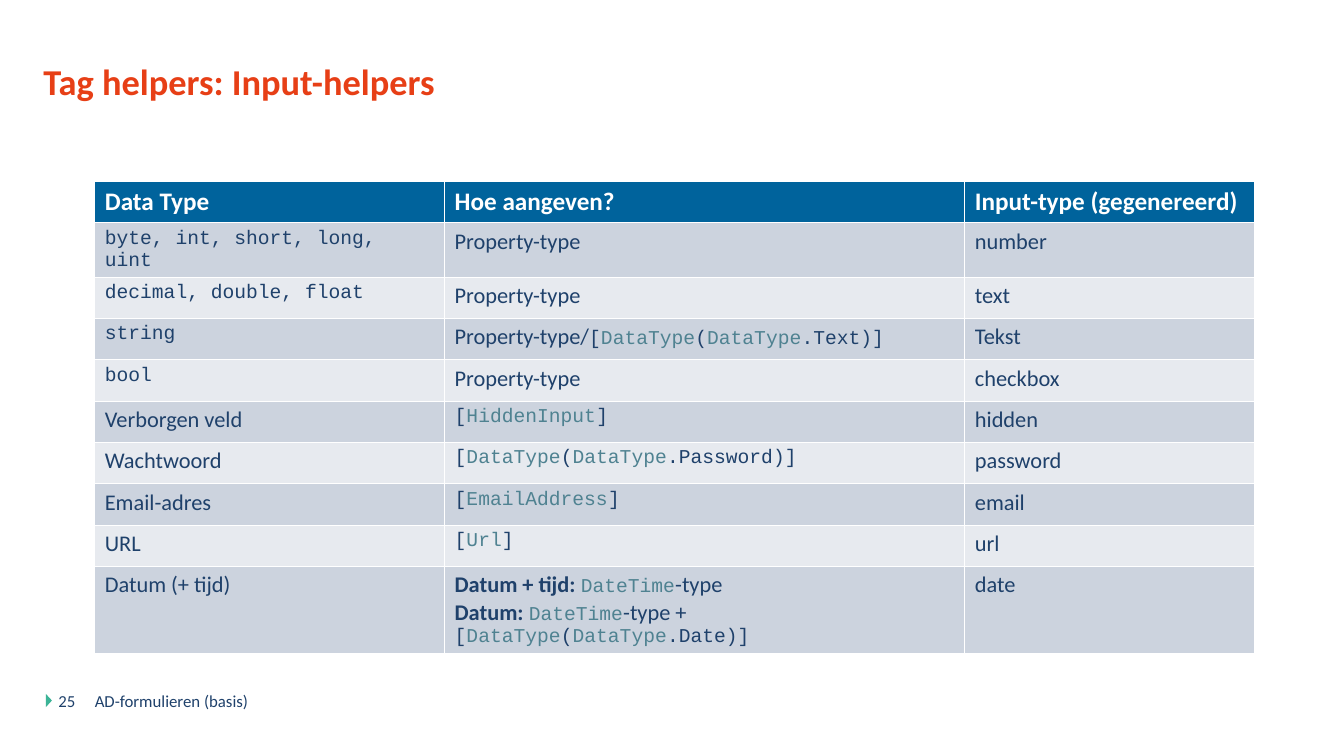
import collections

import pptx
import pptx.dml.color
import pptx.enum.shapes
import pptx.enum.text
import pptx.util

Inches = pptx.util.Inches
RGBColor = pptx.dml.color.RGBColor

ORANGE = RGBColor(0xE7, 0x3F, 0x16)
NAVY = RGBColor(0x1F, 0x41, 0x6B)
TEAL = RGBColor(0x4F, 0x82, 0x91)
GREEN = RGBColor(0x3C, 0xB4, 0x97)
BLUE = RGBColor(0x00, 0x63, 0x9C)
WHITE = RGBColor(0xFF, 0xFF, 0xFF)
BANDS = [RGBColor(0xCC, 0xD3, 0xDE), RGBColor(0xE7, 0xEA, 0xEF)]

Style = collections.namedtuple("Style", "name size color bold")
TITLE = Style("Calibri", 26, ORANGE, True)
FOOTER = Style("Calibri", 12, NAVY, False)
HEADER = Style("Calibri", 18, WHITE, True)
BODY = Style("Calibri", 16, NAVY, False)
STRONG = BODY._replace(bold=True)
CODE = Style("Courier New", 14, NAVY, False)
TYPE = CODE._replace(color=TEAL)


class SlideBuilder:
    def __init__(self, presentation):
        layout = presentation.slide_layouts.get_by_name("Title Only")
        self.slide = presentation.slides.add_slide(layout)

    def set_font(self, font, style):
        font.name = style.name
        font.size = pptx.util.Pt(style.size)
        font.bold = style.bold
        font.color.rgb = style.color

    def add_lines(self, frame, lines):
        for index, spans in enumerate(lines):
            paragraph = frame.add_paragraph() if index else frame.paragraphs[0]
            paragraph.alignment = pptx.enum.text.PP_ALIGN.LEFT
            for text, style in spans:
                run = paragraph.add_run()
                run.text = text
                if len(spans) > 1:
                    self.set_font(run.font, style)
            if len(spans) == 1:
                self.set_font(paragraph.font, spans[0][1])

    def fill_frame(self, frame, text, style):
        frame.word_wrap = True
        frame.auto_size = pptx.enum.text.MSO_AUTO_SIZE.NONE
        frame.vertical_anchor = pptx.enum.text.MSO_ANCHOR.TOP
        frame.margin_left = frame.margin_right = 0
        frame.margin_top = frame.margin_bottom = 0
        self.add_lines(frame, [[(text, style)]])

    def title(self, text, left, top, width, height):
        shape = self.slide.shapes.title
        shape.left, shape.top = Inches(left), Inches(top)
        shape.width, shape.height = Inches(width), Inches(height)
        self.fill_frame(shape.text_frame, text, TITLE)
        shape.text_frame.paragraphs[0].line_spacing = 0.8

    def text(self, text, left, top, width, height):
        shape = self.slide.shapes.add_textbox(
            Inches(left), Inches(top), Inches(width), Inches(height))
        self.fill_frame(shape.text_frame, text, FOOTER)

    def marker(self, left, top, width, height):
        shape = self.slide.shapes.add_shape(
            pptx.enum.shapes.MSO_SHAPE.ISOSCELES_TRIANGLE,
            Inches(left), Inches(top), Inches(width), Inches(height))
        shape.rotation = 90
        shape.shadow.inherit = False
        shape.fill.solid()
        shape.fill.fore_color.rgb = GREEN
        shape.line.fill.background()

    def table(self, rows, left, top, column_widths, row_height):
        table = self.slide.shapes.add_table(
            len(rows), len(column_widths), Inches(left), Inches(top),
            Inches(sum(column_widths)), Inches(row_height * len(rows))).table
        for column, width in zip(table.columns, column_widths):
            column.width = Inches(width)
        for row_index, row in enumerate(rows):
            color = BANDS[(row_index - 1) % 2] if row_index else BLUE
            for column_index, lines in enumerate(row):
                cell = table.cell(row_index, column_index)
                cell.fill.solid()
                cell.fill.fore_color.rgb = color
                self.add_lines(cell.text_frame, lines)


def line(text, style=BODY):
    return [[(text, style)]]


def attribute(name):
    return [("[", CODE), (name, TYPE), ("]", CODE)]


def data_type(member):
    return [("[", CODE), ("DataType", TYPE), ("(", CODE),
            ("DataType", TYPE), (f".{member})]", CODE)]


def date_time(label, ending):
    return [(label, STRONG), ("DateTime", TYPE), (ending, BODY)]


PROPERTY = line("Property-type")
ROWS = [
    [line(text, HEADER) for text in
     ("Data Type", "Hoe aangeven?", "Input-type (gegenereerd)")],
    [line("byte, int, short, long, uint", CODE), PROPERTY, line("number")],
    [line("decimal, double, float", CODE), PROPERTY, line("text")],
    [line("string", CODE),
     [[("Property-type/", BODY)] + data_type("Text")], line("Tekst")],
    [line("bool", CODE), PROPERTY, line("checkbox")],
    [line("Verborgen veld"), [attribute("HiddenInput")], line("hidden")],
    [line("Wachtwoord"), [data_type("Password")], line("password")],
    [line("Email-adres"), [attribute("EmailAddress")], line("email")],
    [line("URL"), [attribute("Url")], line("url")],
    [line("Datum (+ tijd)"),
     [date_time("Datum + tijd: ", "-type"),
      date_time("Datum: ", "-type + ") + data_type("Date")],
     line("date")],
]

presentation = pptx.Presentation()
presentation.slide_width = Inches(13.33)
presentation.slide_height = Inches(7.5)

builder = SlideBuilder(presentation)
builder.marker(0.42, 6.92, 0.13, 0.06)
builder.title("Tag helpers: Input-helpers", 0.43, 0.67, 11.5, 0.75)
builder.text("AD-formulieren (basis)", 0.94, 6.85, 4.5, 0.4)
builder.text("25", 0.58, 6.85, 0.31, 0.4)
builder.table(ROWS, 0.94, 1.8, [3.47, 5.16, 2.87], 0.41)

presentation.save("out.pptx")
